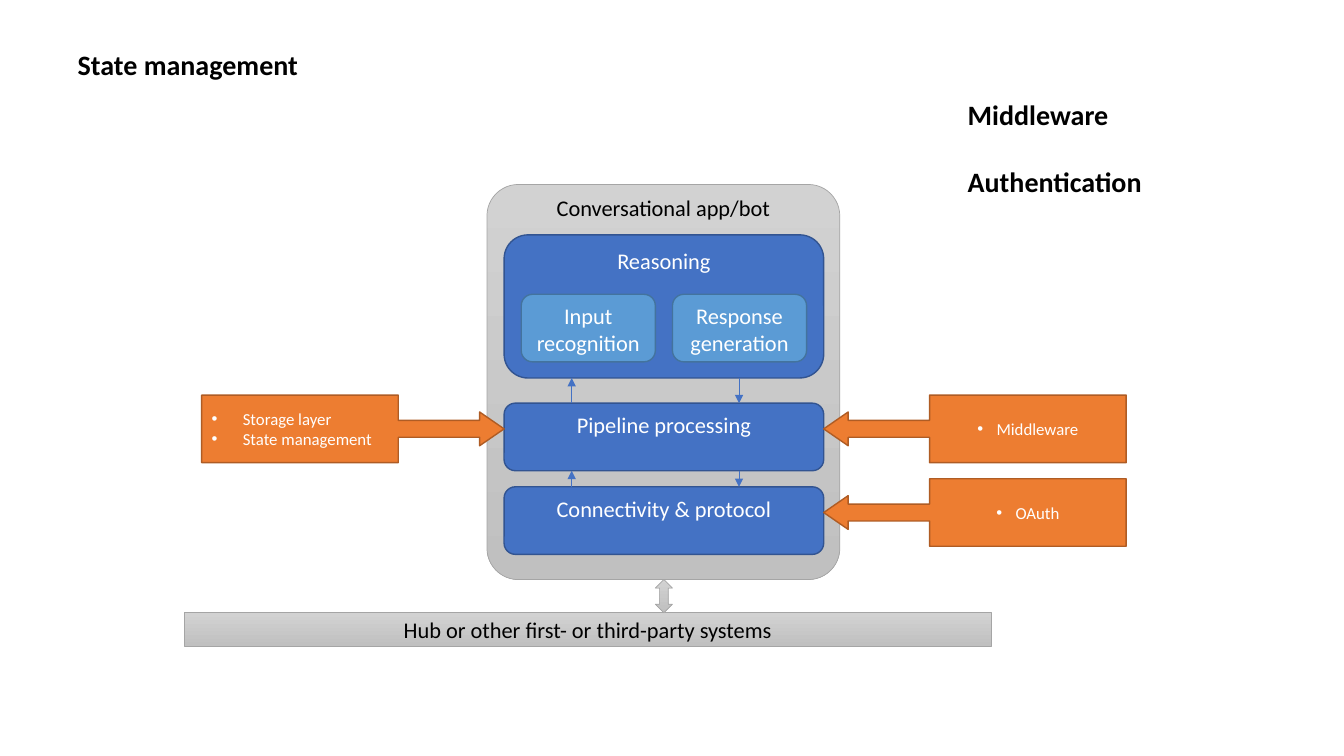
from lxml.etree import SubElement as Sub
from pptx import Presentation
from pptx.dml.color import RGBColor as RGB
from pptx.enum.shapes import MSO_CONNECTOR as Conn, MSO_SHAPE as Kind
from pptx.enum.text import MSO_ANCHOR as Anchor, MSO_AUTO_SIZE as Fit, PP_ALIGN as Align
from pptx.oxml.ns import qn
from pptx.util import Inches, Pt

THEME = {
    "font": "Calibri", "ink": "000000", "paper": "FFFFFF",
    "head": 20, "body": 16, "note": 12,
    "gray": (("D2D2D2", "C0C0C0"), "A5A5A5", 0.5),
    "blue": ("4472C4", "325491", 1),
    "sky": ("5B9BD5", "43739E", 1),
    "orange": ("ED7D31", "AF5C24", 1),
}
TITLE = ("State management", (0.67, 0.42, 2.83, 0.44))
TOPICS = (["Middleware", "Authentication"], (9.5, 0.92, 2.83, 1.11))
APP = ("Conversational app/bot", (4.83, 1.83, 3.5, 3.92))
LAYERS = [("Reasoning", 2.33, 1.42), ("Pipeline processing", 4, 0.67),
          ("Connectivity & protocol", 4.83, 0.67)]
PARTS = ["Input recognition", "Response generation"]
SYSTEMS = ("Hub or other first- or third-party systems", (1.83, 6.08, 8, 0.33))
NOTES = [
    (["Storage layer", "State management"], Kind.RIGHT_ARROW_CALLOUT, 2, 3.92, Align.LEFT, 0.31),
    (["Middleware"], Kind.LEFT_ARROW_CALLOUT, 8.17, 3.92, Align.CENTER, 0.19),
    (["OAuth"], Kind.LEFT_ARROW_CALLOUT, 8.17, 4.75, Align.CENTER, 0.19),
]
LEFT, WIDE = 5, 3.17
UP, DOWN = 5.67, 7.33


def assign(item, **vals):
    for key, val in vals.items():
        setattr(item, key, val)


def write(shape, lines, size, tint, align, bold=False, gap=0, hang=0, **frame):
    text = shape.text_frame
    assign(text, word_wrap=True, **frame)
    for num, line in enumerate(lines):
        par = text.add_paragraph() if num else text.paragraphs[0]
        assign(par, alignment=align, space_before=Pt(gap if num else 0))
        run = par.add_run()
        run.text = line
        assign(run.font, name=THEME["font"], size=Pt(size), bold=bold)
        run.font.color.rgb = RGB.from_string(tint)
        if hang:
            props = par._p.get_or_add_pPr()
            props.set("marL", str(Inches(hang)))
            props.set("indent", str(-Inches(hang)))
            Sub(props, qn("a:buFont")).set("typeface", "Arial")
            Sub(props, qn("a:buChar")).set("char", "•")


def block(slide, kind, box, look, adjust=()):
    shape = slide.shapes.add_shape(kind, *map(Inches, box))
    shape.shadow.inherit = False
    fill, edge, width = THEME[look]
    if isinstance(fill, tuple):
        shape.fill.gradient()
        shape.fill.gradient_angle = 270
        for stop, tint in zip(shape.fill.gradient_stops, fill):
            stop.color.rgb = RGB.from_string(tint)
    else:
        shape.fill.solid()
        shape.fill.fore_color.rgb = RGB.from_string(fill)
    shape.line.color.rgb = RGB.from_string(edge)
    shape.line.width = Pt(width)
    for num, val in enumerate(adjust):
        shape.adjustments[num] = val
    return shape


def arrow(slide, x, start, end):
    link = slide.shapes.add_connector(Conn.STRAIGHT, *map(Inches, (x, start, x, end)))
    link.line.color.rgb = RGB.from_string(THEME["blue"][0])
    link.line.width = Pt(0.5)
    props = link._element.spPr
    Sub(props.find(qn("a:ln")), qn("a:tailEnd")).set("type", "triangle")
    Sub(props, qn("a:effectLst"))


def heads(slide):
    name, box = TITLE
    title = slide.shapes.title
    assign(title, **dict(zip(("left", "top", "width", "height"), map(Inches, box))))
    names, box = TOPICS
    topics = slide.shapes.add_textbox(*map(Inches, box))
    for shape, lines in ((title, [name]), (topics, names)):
        write(shape, lines, THEME["head"], THEME["ink"], Align.LEFT, bold=True,
              gap=24, vertical_anchor=Anchor.TOP, auto_size=Fit.NONE)


def stack(slide):
    size, ink, paper = THEME["body"], THEME["ink"], THEME["paper"]
    name, box = APP
    app = block(slide, Kind.ROUNDED_RECTANGLE, box, "gray", [0.089])
    write(app, [name], size, ink, Align.CENTER, vertical_anchor=Anchor.TOP, margin_top=0)
    cells = [(name, (LEFT, top, WIDE, high), "blue") for name, top, high in LAYERS]
    cells += [(name, (5.17 + 1.5 * num, 2.92, 1.33, 0.67), "sky")
              for num, name in enumerate(PARTS)]
    for name, box, look in cells:
        cell = block(slide, Kind.ROUNDED_RECTANGLE, box, look)
        write(cell, [name], size, paper, Align.CENTER, vertical_anchor=Anchor.TOP)
    for (_, top, high), (_, below, _) in zip(LAYERS, LAYERS[1:]):
        arrow(slide, DOWN, top + high, below)
        arrow(slide, UP, below, top + high)
    name, box = SYSTEMS
    base = block(slide, Kind.RECTANGLE, box, "gray")
    write(base, [name], size, ink, Align.CENTER, vertical_anchor=Anchor.MIDDLE)
    block(slide, Kind.UP_DOWN_ARROW, (6.5, 5.75, 0.17, 0.33), "gray")


def notes(slide):
    for lines, kind, x, y, align, hang in NOTES:
        note = block(slide, kind, (x, y, 3, 0.67), "orange", [0.25, 0.25, 0.362, 0.65])
        write(note, lines, THEME["note"], THEME["paper"], align, hang=hang,
              vertical_anchor=Anchor.MIDDLE)


def main():
    """Build the slide on the layers of a conversational app."""
    deck = Presentation()
    assign(deck, slide_width=Inches(13.33), slide_height=Inches(7.5))
    slide = deck.slides.add_slide(deck.slide_layouts[5])
    heads(slide)
    stack(slide)
    notes(slide)
    deck.save("out.pptx")


if __name__ == "__main__":
    main()
